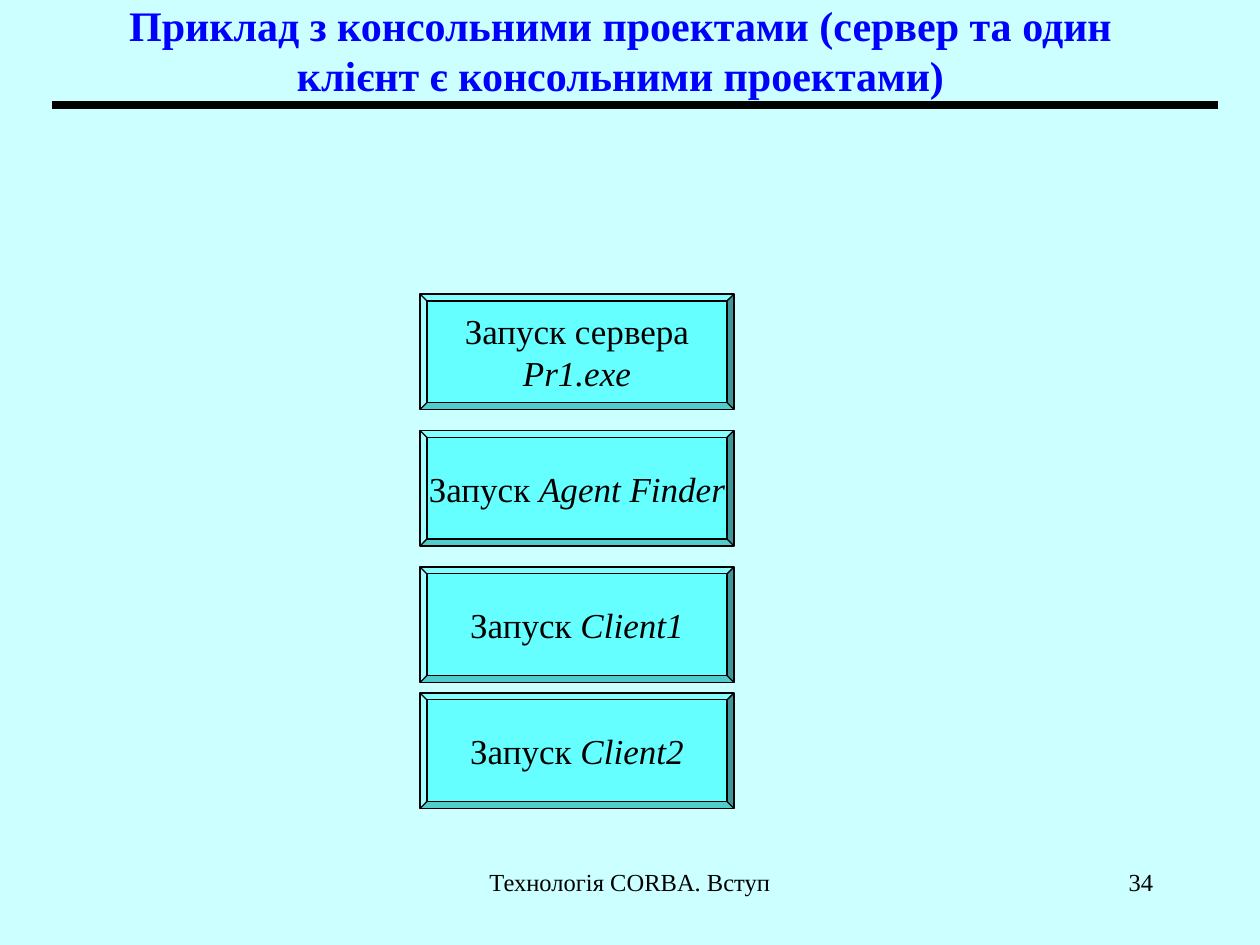
"""Build the slide listing the launch steps of the console projects."""
from dataclasses import dataclass

from lxml import etree
from pptx import Presentation
from pptx import util as u
from pptx.dml.color import RGBColor
from pptx.enum import shapes, text
from pptx.oxml.ns import qn

COLUMNS, ROWS = 120, 90
CELL = u.Inches(10) / COLUMNS
FONT = "Times New Roman"
BACKGROUND = RGBColor(0xCC, 0xFF, 0xFF)
BUTTON_FILL = RGBColor(0x66, 0xFF, 0xFF)
BLUE = RGBColor(0x00, 0x00, 0xFF)
BLACK = RGBColor(0x00, 0x00, 0x00)
ALIGN = text.PP_ALIGN
ANCHOR = text.MSO_ANCHOR

Run = tuple[str, bool]


@dataclass(frozen=True)
class Box:
    left: float
    top: float
    width: float
    height: float

    def lengths(self) -> list[int]:
        return [cells(n) for n in (self.left, self.top, self.width, self.height)]


@dataclass(frozen=True)
class Button:
    top: float
    paragraphs: list[list[Run]]


BUTTONS = [
    Button(28, [[("Запуск сервера", False)], [("Pr1.exe", True)]]),
    Button(41, [[("Запуск ", False), ("Agent Finder", True)]]),
    Button(54, [[("Запуск ", False), ("Client1", True)]]),
    Button(66, [[("Запуск ", False), ("Client2", True)]]),
]


def cells(count: float) -> int:
    return round(count * CELL)


def write(shape, paragraphs: list[list[Run]], *, size: float, color: RGBColor = BLACK,
          bold: bool = False, align=ALIGN.CENTER, anchor=ANCHOR.TOP, wrap: bool = True) -> None:
    frame = shape.text_frame
    frame.word_wrap = wrap
    frame.vertical_anchor = anchor
    for index, runs in enumerate(paragraphs):
        paragraph = frame.add_paragraph() if index else frame.paragraphs[0]
        paragraph.alignment = align
        for words, italic in runs:
            run = paragraph.add_run()
            run.text = words
            font = run.font
            font.name, font.size, font.bold, font.italic = FONT, u.Pt(size), bold, italic
            font.color.rgb = color


def add_label(slide, box: Box, words: str, **style) -> None:
    write(slide.shapes.add_textbox(*box.lengths()), [[(words, False)]], **style)


def add_button(slide, button: Button) -> None:
    box = Box(40, button.top, 29.9, 11)
    shape = slide.shapes.add_shape(shapes.MSO_SHAPE.BEVEL, *box.lengths())
    shape.adjustments[0] = 0.06
    shape.shadow.inherit = False
    shape.fill.solid()
    shape.fill.fore_color.rgb = BUTTON_FILL
    shape.line.color.rgb = BLACK
    shape.line.width = u.Pt(0.75)
    write(shape, button.paragraphs, size=20, anchor=ANCHOR.MIDDLE, wrap=False)


def add_rule(slide, left: float, right: float, row: float) -> None:
    rule = slide.shapes.add_connector(
        shapes.MSO_CONNECTOR.STRAIGHT, cells(left), cells(row), cells(right), cells(row))
    rule.line.color.rgb = BLACK
    rule.line.width = u.Pt(4.5)
    etree.SubElement(rule._element.spPr, qn("a:effectLst"))


def main() -> None:
    presentation = Presentation()
    presentation.slide_width = cells(COLUMNS)
    presentation.slide_height = cells(ROWS)
    slide = presentation.slides.add_slide(presentation.slide_layouts[6])
    slide.background.fill.solid()
    slide.background.fill.fore_color.rgb = BACKGROUND

    add_label(slide, Box(7.2, 0.5, 103.8, 8.5),
              "Приклад з консольними проектами (сервер та один клієнт є консольними проектами)",
              size=24, color=BLUE, bold=True, anchor=ANCHOR.MIDDLE)
    add_rule(slide, 5, 116, 10)
    for button in BUTTONS:
        add_button(slide, button)
    add_label(slide, Box(41, 82, 38, 6), "Технологія CORBA. Вступ", size=14)
    add_label(slide, Box(86, 82, 25, 6), "34", size=14, align=ALIGN.RIGHT)
    presentation.save("out.pptx")


if __name__ == "__main__":
    main()
